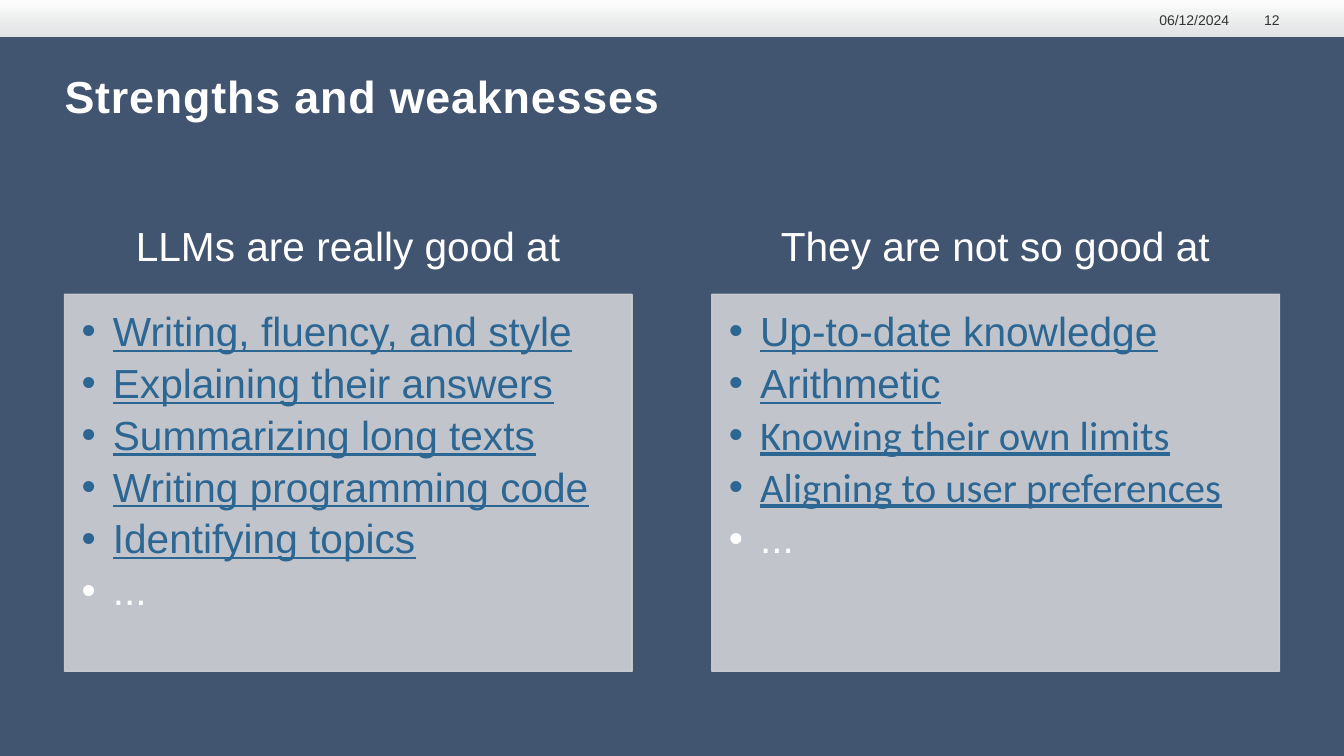
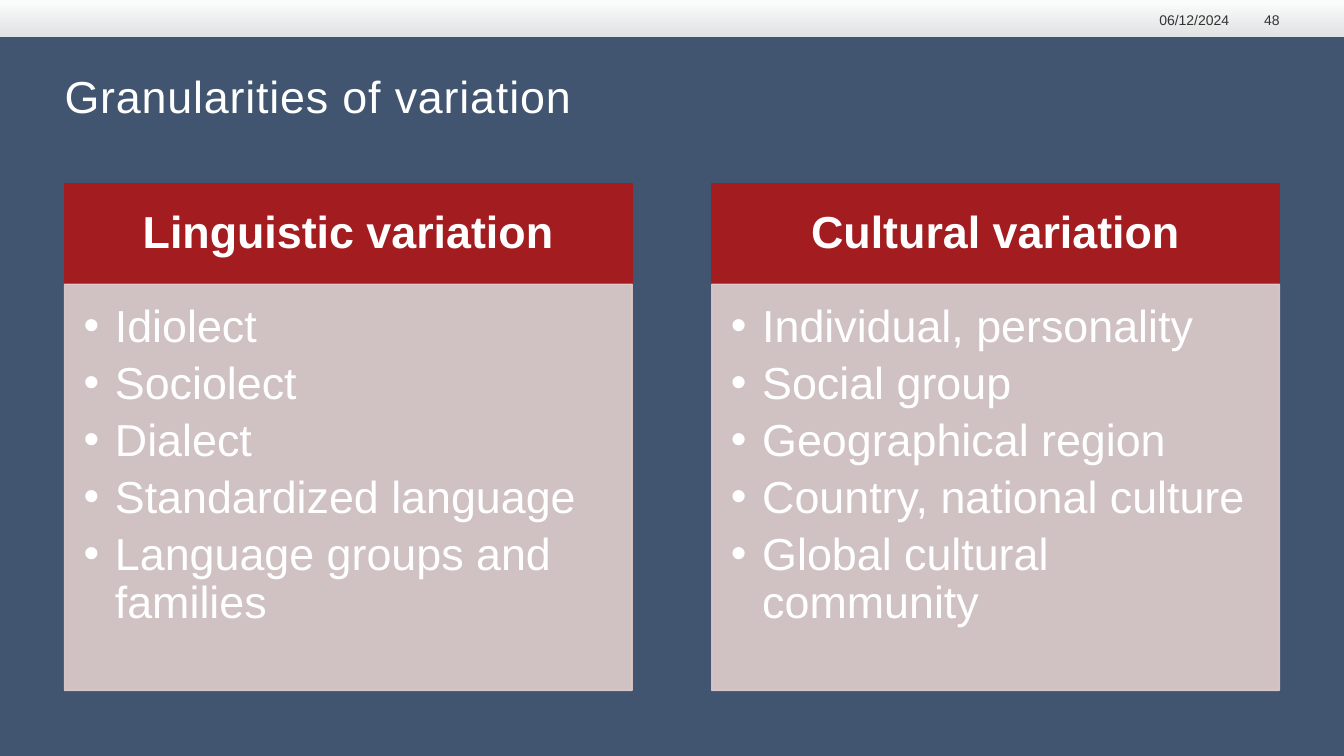
import pptx
import pptx.dml.color
import pptx.enum.shapes
import pptx.enum.text
import pptx.oxml.ns
import pptx.util
from lxml import etree

Inches = pptx.util.Inches
Pt = pptx.util.Pt
ALIGN = pptx.enum.text.PP_ALIGN
ANCHOR = pptx.enum.text.MSO_ANCHOR

COLOURS = {
    "background": "415470",
    "band_top": "FFFFFF",
    "band_bottom": "EEEFEE",
    "white": "FFFFFF",
    "footer": "333333",
    "link": "2C6693",
    "grey_panel": "CFD1D5",
    "red": "A31D20",
    "pink_panel": "E0CDCD",
}
ITEM_STYLES = {
    "plain": {"colour": "white"},
    "link": {"colour": "link", "underline": True},
    "calibri_link": {"colour": "link", "underline": True, "name": "Calibri"},
}
WIDTH, HEIGHT = 13.33, 7.5
MARGIN = 0.64
COLUMN_WIDTH = 5.63
COLUMN_STEP = 6.42


def rgb(colour):
    return pptx.dml.color.RGBColor.from_string(COLOURS[colour])


def set_opacity(colour_elements, percent):
    for element in colour_elements:
        alpha = etree.SubElement(element, pptx.oxml.ns.qn("a:alpha"))
        alpha.set("val", str(percent * 1000))


class Deck:
    """Hold the shared style and the slide being built."""

    def __init__(self):
        self.presentation = pptx.Presentation()
        self.presentation.slide_width = Inches(WIDTH)
        self.presentation.slide_height = Inches(HEIGHT)
        fill = self.presentation.slide_master.background.fill
        fill.solid()
        fill.fore_color.rgb = rgb("background")
        self.slide = None

    def new_slide(self, title, number, bold=False):
        layout = self.presentation.slide_layouts[6]
        self.slide = self.presentation.slides.add_slide(layout)
        self.band()
        run = self.label(title, MARGIN, 0.68, 12.04, 0.94, 32, "white", bold)
        run.font._element.set("spc", "60")
        for text, left, width in (("06/12/2024", 11.3, 0.89), (number, 12.27, 0.42)):
            self.label(text, left, 0.09, width, 0.19, 10, "footer",
                       align=ALIGN.RIGHT, anchor=ANCHOR.BOTTOM)

    def rectangle(self, left, top, width, height):
        shape = self.slide.shapes.add_shape(
            pptx.enum.shapes.MSO_SHAPE.RECTANGLE,
            Inches(left), Inches(top), Inches(width), Inches(height))
        shape.shadow.inherit = False
        return shape

    def band(self):
        shape = self.rectangle(0, 0, WIDTH, 0.36)
        shape.line.fill.background()
        shape.fill.gradient()
        shape.fill.gradient_angle = 270
        for stop, colour in zip(shape.fill.gradient_stops, ("band_top", "band_bottom")):
            stop.color.rgb = rgb(colour)
        set_opacity(shape._element.spPr.xpath(".//a:gs[last()]/a:srgbClr"), 93)

    def box(self, left, top, height, colour, opacity=100):
        shape = self.rectangle(left, top, COLUMN_WIDTH, height)
        shape.fill.solid()
        shape.fill.fore_color.rgb = rgb(colour)
        shape.line.color.rgb = rgb(colour)
        shape.line.width = Pt(1)
        if opacity < 100:
            set_opacity(shape._element.spPr.xpath(".//a:srgbClr"), opacity)
        return shape

    def frame(self, shape, insets, anchor):
        frame = shape.text_frame
        frame.word_wrap = True
        frame.vertical_anchor = anchor
        (frame.margin_left, frame.margin_top,
         frame.margin_right, frame.margin_bottom) = map(Inches, insets)
        return frame

    def format(self, paragraph, size, colour, bold=False, underline=False, name="Arial"):
        run = paragraph.runs[0]
        run.font.name = name
        run.font.size = Pt(size)
        run.font.bold = bold
        run.font.underline = underline
        run.font.color.rgb = rgb(colour)
        return run

    def label(self, text, left, top, width, height, size, colour, bold=False,
              align=ALIGN.LEFT, anchor=ANCHOR.TOP):
        shape = self.slide.shapes.add_textbox(
            Inches(left), Inches(top), Inches(width), Inches(height))
        frame = self.frame(shape, (0, 0, 0, 0), anchor)
        frame.text = text
        paragraph = frame.paragraphs[0]
        paragraph.alignment = align
        return self.format(paragraph, size, colour, bold)

    def heading(self, text, left, top, height, size, colour, bold):
        side, edge = round(size * 0.008, 2), round(size * 0.0044, 2)
        shape = self.box(left, top, height, colour)
        frame = self.frame(shape, (side, edge, side, edge), ANCHOR.MIDDLE)
        frame.text = text
        paragraph = frame.paragraphs[0]
        paragraph.alignment = ALIGN.CENTER
        paragraph.line_spacing = 0.9
        self.format(paragraph, size, "white", bold)

    def bullets(self, items, left, top, height, size, colour):
        near, right, bottom = (round(size * ratio, 2) for ratio in (0.0059, 0.008, 0.0087))
        shape = self.box(left, top, height, colour, opacity=90)
        frame = self.frame(shape, (near, near, right, bottom), ANCHOR.TOP)
        frame.text = "\n".join(text for text, style in items)
        for paragraph, (text, style) in zip(frame.paragraphs, items):
            paragraph.alignment = ALIGN.LEFT
            paragraph.line_spacing = 0.9
            paragraph.space_after = Pt(round(size * 0.195, 1))
            properties = paragraph._p.get_or_add_pPr()
            indent = Inches(0.31)
            properties.set("marL", str(indent))
            properties.set("indent", str(-indent))
            for tag, key, value in (("a:buFont", "typeface", "Arial"),
                                    ("a:buChar", "char", "•")):
                etree.SubElement(properties, pptx.oxml.ns.qn(tag)).set(key, value)
            self.format(paragraph, size, **ITEM_STYLES[style])

    def columns(self, columns, top, split, bottom, size, heading_colour, panel_colour,
                bold=False):
        for index, (heading, items) in enumerate(columns):
            left = MARGIN + index * COLUMN_STEP
            self.heading(heading, left, top, split - top, size, heading_colour, bold)
            self.bullets(items, left, split, bottom - split, size, panel_colour)


def styled(style, *texts):
    return [(text, style) for text in texts]


def main():
    deck = Deck()

    deck.new_slide("Strengths and weaknesses", "12", bold=True)
    strengths = styled("link", "Writing, fluency, and style", "Explaining their answers",
                       "Summarizing long texts", "Writing programming code",
                       "Identifying topics")
    weaknesses = styled("link", "Up-to-date knowledge", "Arithmetic") + styled(
        "calibri_link", "Knowing their own limits", "Aligning to user preferences")
    more = styled("plain", "...")
    deck.columns([("LLMs are really good at", strengths + more),
                  ("They are not so good at", weaknesses + more)],
                 2.01, 2.92, 6.66, 29, "background", "grey_panel")

    deck.new_slide("Granularities of variation", "48")
    linguistic = styled("plain", "Idiolect", "Sociolect", "Dialect",
                        "Standardized language", "Language groups and families")
    cultural = styled("plain", "Individual, personality", "Social group",
                      "Geographical region", "Country, national culture",
                      "Global cultural community")
    deck.columns([("Linguistic variation", linguistic), ("Cultural variation", cultural)],
                 1.82, 2.82, 6.85, 32, "red", "pink_panel", bold=True)

    deck.presentation.save("out.pptx")


if __name__ == "__main__":
    main()
